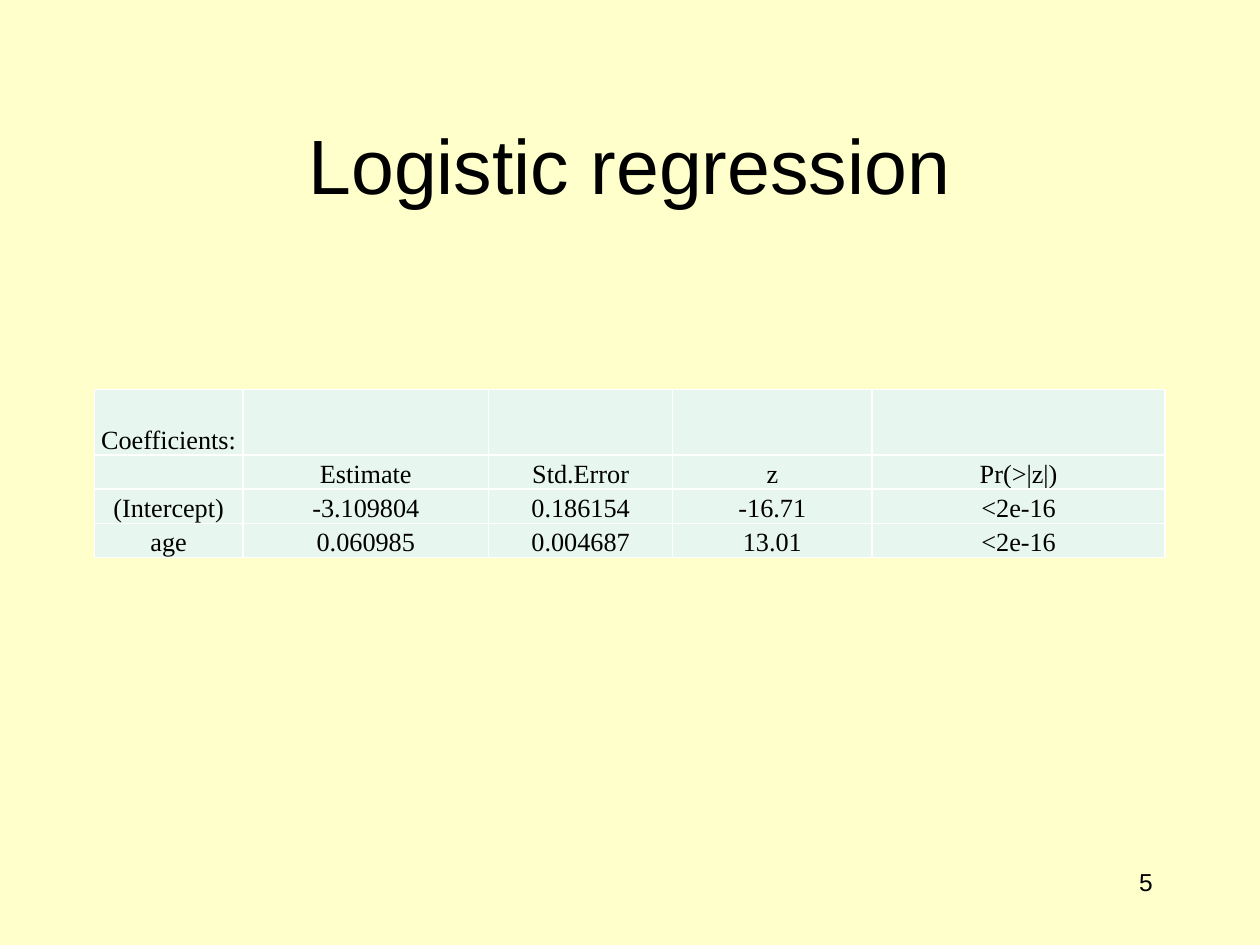
from dataclasses import dataclass

import lxml.etree
import pptx
import pptx.dml.color
import pptx.enum.text
import pptx.oxml.ns
import pptx.util

Cm, Pt = pptx.util.Cm, pptx.util.Pt
ALIGN = pptx.enum.text.PP_ALIGN
ANCHOR = pptx.enum.text.MSO_ANCHOR
qn = pptx.oxml.ns.qn

COLORS = {"background": "FFFFCC", "text": "000000", "cell": "E7F6EF", "border": "FFFFFF"}


@dataclass
class TextStyle:
    font: str
    size: int
    align: ALIGN


TITLE = TextStyle("Arial", 44, ALIGN.CENTER)
NUMBER = TextStyle("Arial", 14, ALIGN.RIGHT)
CELL = TextStyle("Times New Roman", 15, ALIGN.CENTER)

COL_WIDTHS = [3, 4.95, 3.71, 4.02, 5.91]
ROW_HEIGHTS = [1.32, 0.69, 0.69, 0.69]
ROWS = [
    ["Coefficients:", "", "", "", ""],
    ["", "Estimate", "Std.Error", "z", "Pr(>|z|)"],
    ["(Intercept)", "-3.109804", "0.186154", "-16.71", "<2e-16"],
    ["age", "0.060985", "0.004687", "13.01", "<2e-16"],
]


def rgb(name: str) -> pptx.dml.color.RGBColor:
    return pptx.dml.color.RGBColor.from_string(COLORS[name])


def write(tf, text: str, style: TextStyle) -> None:
    tf.text = text
    p = tf.paragraphs[0]
    p.alignment = style.align
    for r in p.runs:
        r.font.name = style.font
        r.font.size = Pt(style.size)
        r.font.color.rgb = rgb("text")
    if not text:
        # An empty cell keeps the row height of the text size
        lxml.etree.SubElement(p._p, qn("a:endParaRPr"), sz=str(style.size * 100))


def add_borders(cell, width: float) -> None:
    tc_pr = cell._tc.get_or_add_tcPr()
    for side in ("L", "R", "T", "B"):
        ln = lxml.etree.SubElement(tc_pr, qn(f"a:ln{side}"), w=str(Pt(width)))
        fill = lxml.etree.SubElement(ln, qn("a:solidFill"))
        lxml.etree.SubElement(fill, qn("a:srgbClr"), val=COLORS["border"])


def format_cell(cell, text: str) -> None:
    cell.margin_left = cell.margin_right = cell.margin_top = Cm(0.03)
    cell.margin_bottom = 0
    cell.vertical_anchor = ANCHOR.BOTTOM
    add_borders(cell, 1)
    cell.fill.solid()
    cell.fill.fore_color.rgb = rgb("cell")
    write(cell.text_frame, text, CELL)


prs = pptx.Presentation()
prs.slide_width, prs.slide_height = Cm(25.4), Cm(19.05)
slide = prs.slides.add_slide(prs.slide_layouts[5])
slide.background.fill.solid()
slide.background.fill.fore_color.rgb = rgb("background")

# Title
sp = slide.shapes.title
sp.left, sp.top, sp.width, sp.height = Cm(1.9), Cm(1.7), Cm(21.59), Cm(3.18)
sp.text_frame.vertical_anchor = ANCHOR.MIDDLE
write(sp.text_frame, "Logistic regression", TITLE)

# Slide number
sp = slide.shapes.add_textbox(Cm(18.21), Cm(17.35), Cm(5.28), Cm(1.27))
sp.text_frame.word_wrap = True
write(sp.text_frame, "5", NUMBER)

# Coefficient table
table = slide.shapes.add_table(
    len(ROWS), len(COL_WIDTHS), Cm(1.9), Cm(7.85),
    Cm(sum(COL_WIDTHS)), Cm(sum(ROW_HEIGHTS)),
).table
table.first_row = table.horz_banding = False
for column, width in zip(table.columns, COL_WIDTHS):
    column.width = Cm(width)
for i, (height, texts) in enumerate(zip(ROW_HEIGHTS, ROWS)):
    table.rows[i].height = Cm(height)
    for j, text in enumerate(texts):
        format_cell(table.cell(i, j), text)

prs.save("out.pptx")
